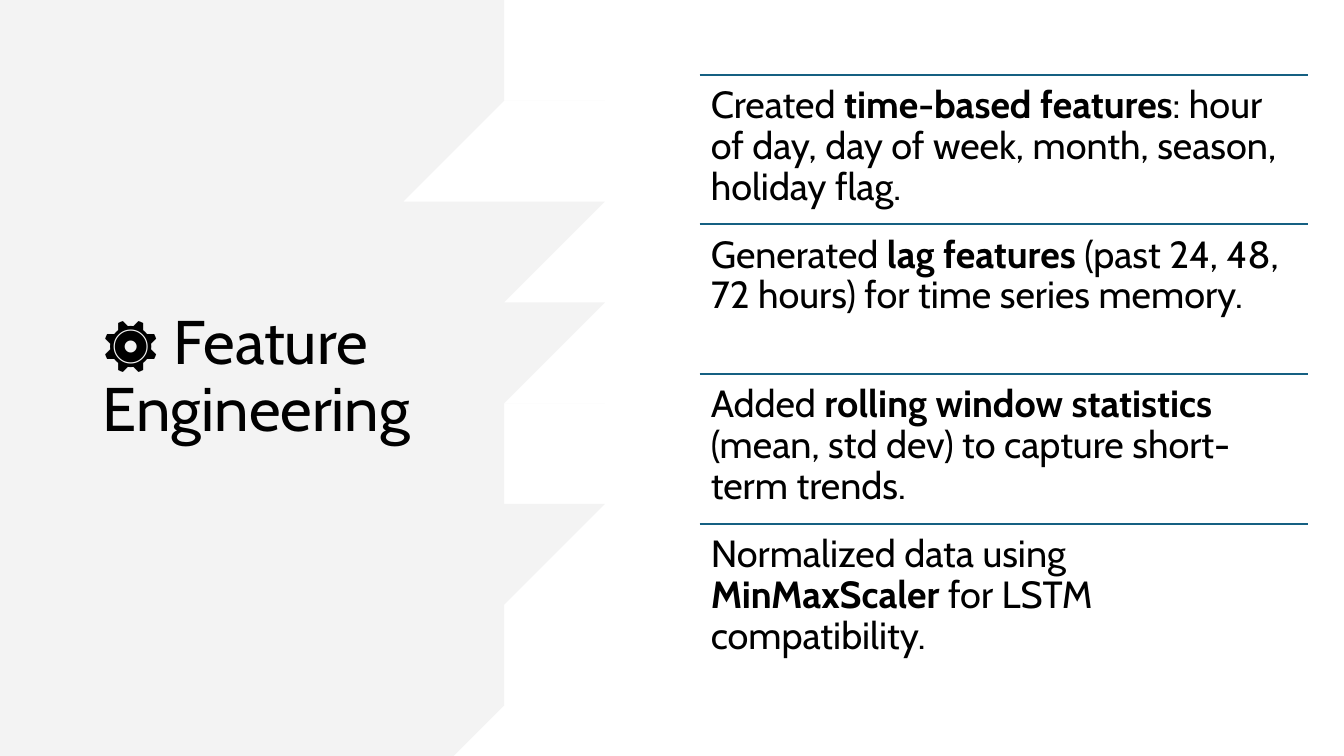
from lxml.etree import SubElement
from pptx import Presentation
from pptx.dml.color import RGBColor
from pptx.enum.shapes import MSO_CONNECTOR
from pptx.enum.text import MSO_ANCHOR, MSO_AUTO_SIZE, PP_ALIGN
from pptx.oxml.ns import qn
from pptx.util import Inches, Pt

WIDTH, HEIGHT = 13.33, 7.5
FONT = "Cabin"
BLACK = RGBColor(0x00, 0x00, 0x00)
BRUSH_GRAY = RGBColor(0xE8, 0xE8, 0xE8)
RULE_BLUE = RGBColor(0x15, 0x60, 0x82)

TITLE = "⚙ Feature Engineering"
FEATURES = [
    ("Created ", "time-based features",
     ": hour of day, day of week, month, season, holiday flag."),
    ("Generated ", "lag features", " (past 24, 48, 72 hours) for time series memory."),
    ("Added ", "rolling window statistics",
     " (mean, std dev) to capture short-term trends."),
    ("Normalized data using ", "MinMaxScaler", " for LSTM compatibility."),
]

# Ragged right edge of the brush stroke, top to bottom, in inches
BRUSH_EDGE = [
    (4.92, 0), (4.6, 0.13), (4.98, 0.1), (4.64, 0.41), (5.16, 0.37),
    (4.94, 0.61), (5.35, 0.57), (6.02, 0.51), (5.04, 1), (5.15, 1.04),
    (4.78, 1.3), (4.9, 1.49), (4.5, 1.75), (4.66, 1.81), (4.33, 2.2),
    (4.73, 2.27), (4.35, 2.42), (5.57, 2.07), (4.94, 2.54), (4.51, 2.75),
    (5.32, 2.79), (5.45, 3.1), (5.85, 3.22), (5.26, 3.64), (5.66, 3.53),
    (5.71, 3.71), (5.44, 4), (5.49, 4.56), (5.66, 4.6), (5.7, 4.82),
    (6, 4.79), (5.67, 5.05), (6.02, 5.03), (5.38, 5.64), (5.77, 5.46),
    (5.3, 5.9), (5.09, 6.33), (5.31, 6.29), (4.75, 6.78), (5.32, 6.65),
    (4.86, 6.98), (4.8, 7.2), (4.29, 7.5),
]


def style_span(span, size, bold=False):
    span.font.name = FONT
    span.font.size = Pt(size)
    span.font.bold = bold
    span.font.color.rgb = BLACK


def place_title(title, left, top, width, height):
    title.left, title.top = Inches(left), Inches(top)
    title.width, title.height = Inches(width), Inches(height)
    frame = title.text_frame
    frame.text = TITLE
    frame.word_wrap = True
    frame.auto_size = MSO_AUTO_SIZE.NONE
    frame.vertical_anchor = MSO_ANCHOR.MIDDLE
    para = frame.paragraphs[0]
    para.alignment = PP_ALIGN.LEFT
    para.line_spacing = 0.9
    style_span(para.runs[0], 44)


def add_brush_stroke(page):
    """Fill the left of the page up to the ragged edge, behind the title."""
    builder = page.shapes.build_freeform(0, 0, scale=Inches(1))
    builder.add_line_segments(BRUSH_EDGE + [(0, HEIGHT)], close=True)
    brush = builder.convert_to_shape()
    brush.shadow.inherit = False
    brush.line.fill.background()
    brush.fill.solid()
    brush.fill.fore_color.rgb = BRUSH_GRAY
    color = brush.element.spPr.find(f"{qn('a:solidFill')}/{qn('a:srgbClr')}")
    SubElement(color, qn("a:alpha"), val="50000")
    page.shapes.title.element.addprevious(brush.element)


def add_feature(page, parts, left, top, width, height):
    """Add a rule with a sentence below it, the middle part in bold."""
    rule = page.shapes.add_connector(
        MSO_CONNECTOR.STRAIGHT,
        Inches(left), Inches(top), Inches(left + width), Inches(top))
    rule.line.color.rgb = RULE_BLUE
    rule.line.width = Pt(1.5)
    SubElement(rule.element.spPr, qn("a:effectLst"))

    box = page.shapes.add_textbox(
        Inches(left), Inches(top), Inches(width), Inches(height))
    frame = box.text_frame
    frame.word_wrap = True
    frame.margin_left = frame.margin_right = Inches(0.11)
    frame.margin_top = frame.margin_bottom = Inches(0.11)
    para = frame.paragraphs[0]
    para.line_spacing = 0.9
    for index, part in enumerate(parts):
        span = para.add_run()
        span.text = part
        style_span(span, 27, bold=index == 1)


def add_feature_list(page, left, top, width, height):
    row_height = height / len(FEATURES)
    for row, parts in enumerate(FEATURES):
        add_feature(page, parts, left, top + row * row_height, width, row_height)


def main():
    deck = Presentation()
    deck.slide_width, deck.slide_height = Inches(WIDTH), Inches(HEIGHT)
    page = deck.slides.add_slide(deck.slide_layouts[5])
    add_brush_stroke(page)
    place_title(page.shapes.title, 0.92, 0.78, 4.42, 5.94)
    add_feature_list(page, 6.94, 0.74, 6.03, 5.94)
    deck.save("out.pptx")


if __name__ == "__main__":
    main()
